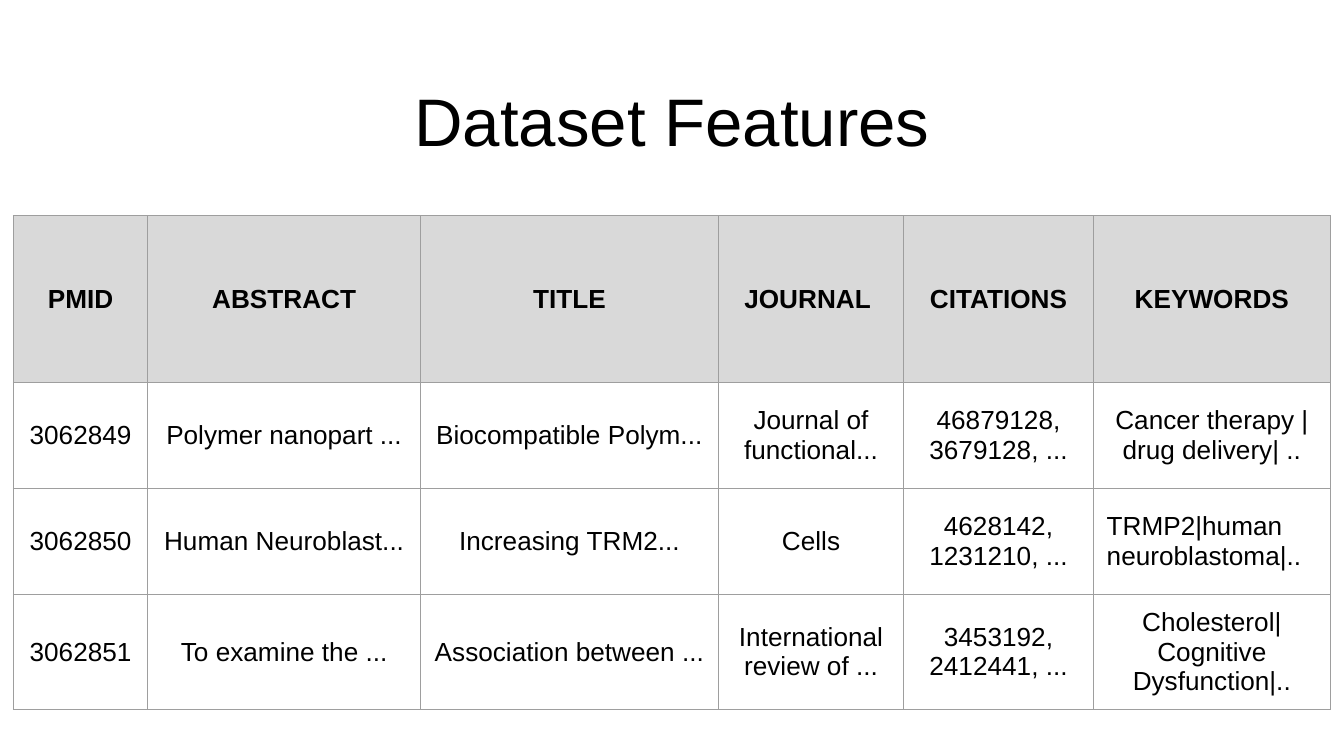
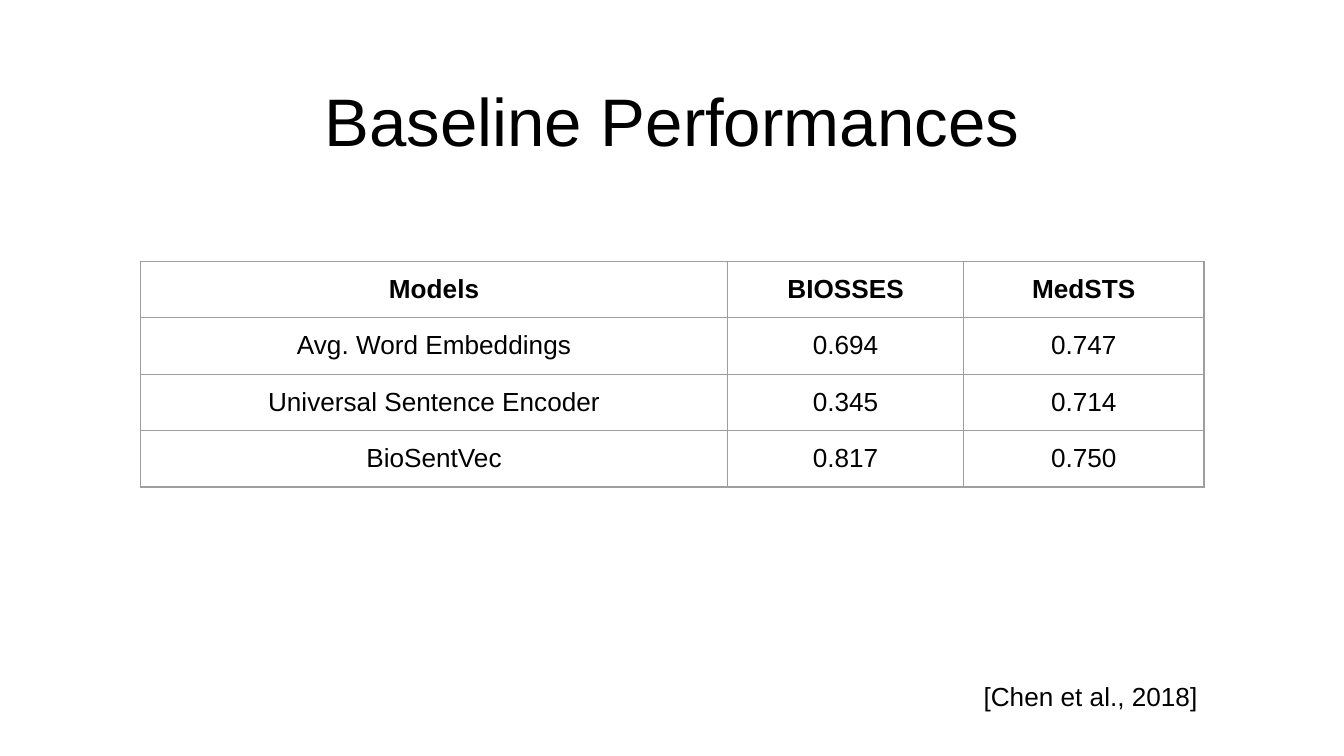
from dataclasses import dataclass

from lxml import etree
from pptx import Presentation
from pptx.dml.color import RGBColor
from pptx.enum.text import MSO_ANCHOR, MSO_AUTO_SIZE, PP_ALIGN
from pptx.oxml.ns import qn
from pptx.util import Pt

PX = 4572  # 200 px to the inch
LEFT, MID, RIGHT = PP_ALIGN.LEFT, PP_ALIGN.CENTER, PP_ALIGN.RIGHT
TOP, CENTER = MSO_ANCHOR.TOP, MSO_ANCHOR.MIDDLE
NO_FIT = MSO_AUTO_SIZE.NONE
TITLE_ONLY = 5


@dataclass(frozen=True)
class Theme:
    font: str = "Arial"
    ink: str = "000000"
    head: str = "D9D9D9"
    rule: str = "9E9E9E"
    rule_w: float = 0.75
    title: int = 36
    body: int = 14
    pad: int = 20


THEME = Theme()
SIZE = (2000, 1125)
TITLE_BOX = (68, 98, 1864, 126)

FEATURES = [
    ["PMID", "ABSTRACT", "TITLE", "JOURNAL ", "CITATIONS", "KEYWORDS"],
    ["3062849", "Polymer nanopart ...", "Biocompatible Polym...",
     "Journal of functional...", "46879128, 3679128, ...",
     "Cancer therapy |drug delivery| .."],
    ["3062850", "Human Neuroblast...", "Increasing TRM2...",
     "Cells", "4628142, 1231210, ...", "TRMP2|human neuroblastoma|.."],
    ["3062851", "To examine the ...", "Association between ...",
     "International review of ...", "3453192, 2412441, ...",
     "Cholesterol|Cognitive Dysfunction|.."],
]
SCORES = [
    ["Models", "BIOSSES", "MedSTS"],
    ["Avg. Word Embeddings", "0.694", "0.747"],
    ["Universal Sentence Encoder", "0.345", "0.714"],
    ["BioSentVec", "0.817", "0.750"],
]


def emu(box):
    return [n * PX for n in box]


def pad(item):
    """Give a cell or text frame the same inset on all sides."""
    item.margin_left = item.margin_right = THEME.pad * PX
    item.margin_top = item.margin_bottom = THEME.pad * PX


def write(frame, text, size, align=MID, bold=False):
    frame.text = text
    frame.word_wrap = True
    for para in frame.paragraphs:
        para.alignment = align
        for run in para.runs:
            font = run.font
            font.name, font.size, font.bold = THEME.font, Pt(size), bold
            font.color.rgb = RGBColor.from_string(THEME.ink)


def add_text(shape, box, text, size, align):
    shape.left, shape.top, shape.width, shape.height = emu(box)
    frame = shape.text_frame
    write(frame, text, size, align)
    pad(frame)
    frame.auto_size = NO_FIT
    frame.vertical_anchor = TOP


def add_rules(cell):
    """Draw the four borders of a cell."""
    props = cell._tc.get_or_add_tcPr()
    for side in ("lnL", "lnR", "lnT", "lnB"):
        line = etree.SubElement(props, qn("a:" + side), w=str(Pt(THEME.rule_w)))
        fill = etree.SubElement(line, qn("a:solidFill"))
        etree.SubElement(fill, qn("a:srgbClr"), val=THEME.rule)


def add_grid(slide, spot, cols, rows, data, anchor, head=None, left=()):
    """Place a table; cells listed in left are not centred."""
    box = (*spot, sum(cols), sum(rows))
    grid = slide.shapes.add_table(len(rows), len(cols), *emu(box)).table
    grid.first_row = grid.horz_banding = False
    for col, wide in zip(grid.columns, cols):
        col.width = wide * PX
    for row, high in zip(grid.rows, rows):
        row.height = high * PX
    for r, texts in enumerate(data):
        for c, text in enumerate(texts):
            cell = grid.cell(r, c)
            align = LEFT if (r, c) in left else MID
            write(cell.text_frame, text, THEME.body, align, r == 0)
            pad(cell)
            cell.vertical_anchor = anchor
            add_rules(cell)
            if head and r == 0:
                cell.fill.solid()
                cell.fill.fore_color.rgb = RGBColor.from_string(head)
            else:
                cell.fill.background()


def add_slide(deck, title):
    slide = deck.slides.add_slide(deck.slide_layouts[TITLE_ONLY])
    add_text(slide.shapes.title, TITLE_BOX, title, THEME.title, MID)
    return slide


def add_note(slide, box, text):
    shape = slide.shapes.add_textbox(*emu(box))
    add_text(shape, box, text, THEME.body, RIGHT)


def main():
    deck = Presentation()
    deck.slide_width, deck.slide_height = emu(SIZE)

    slide = add_slide(deck, "Dataset Features")
    add_grid(slide, (20, 321), [200, 406, 443, 276, 282, 353],
             [248] + [158] * 3, FEATURES, CENTER, THEME.head, {(2, 5)})

    slide = add_slide(deck, "Baseline Performances")
    add_grid(slide, (209, 389), [874, 351, 358], [84] * 4, SCORES, TOP)
    add_note(slide, (198, 993, 1604, 110), "[Chen et al., 2018]")

    deck.save("out.pptx")


if __name__ == "__main__":
    main()
